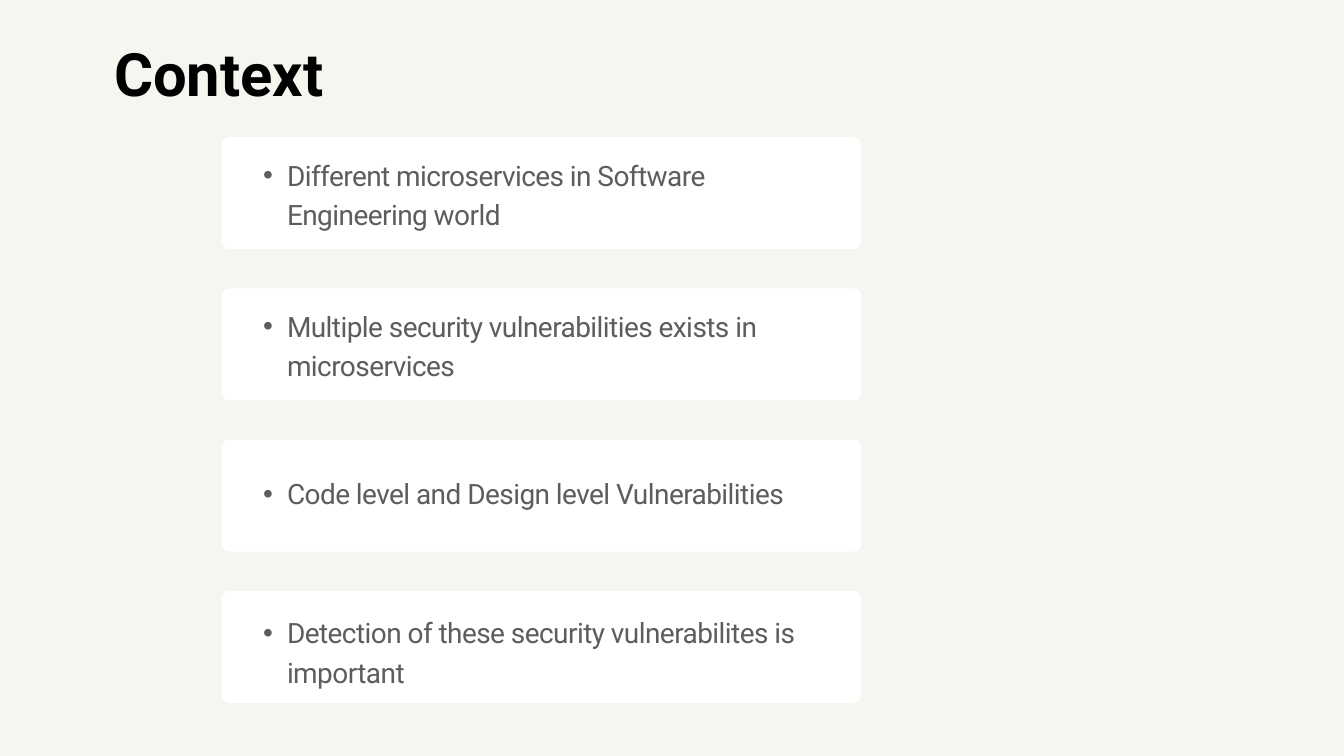
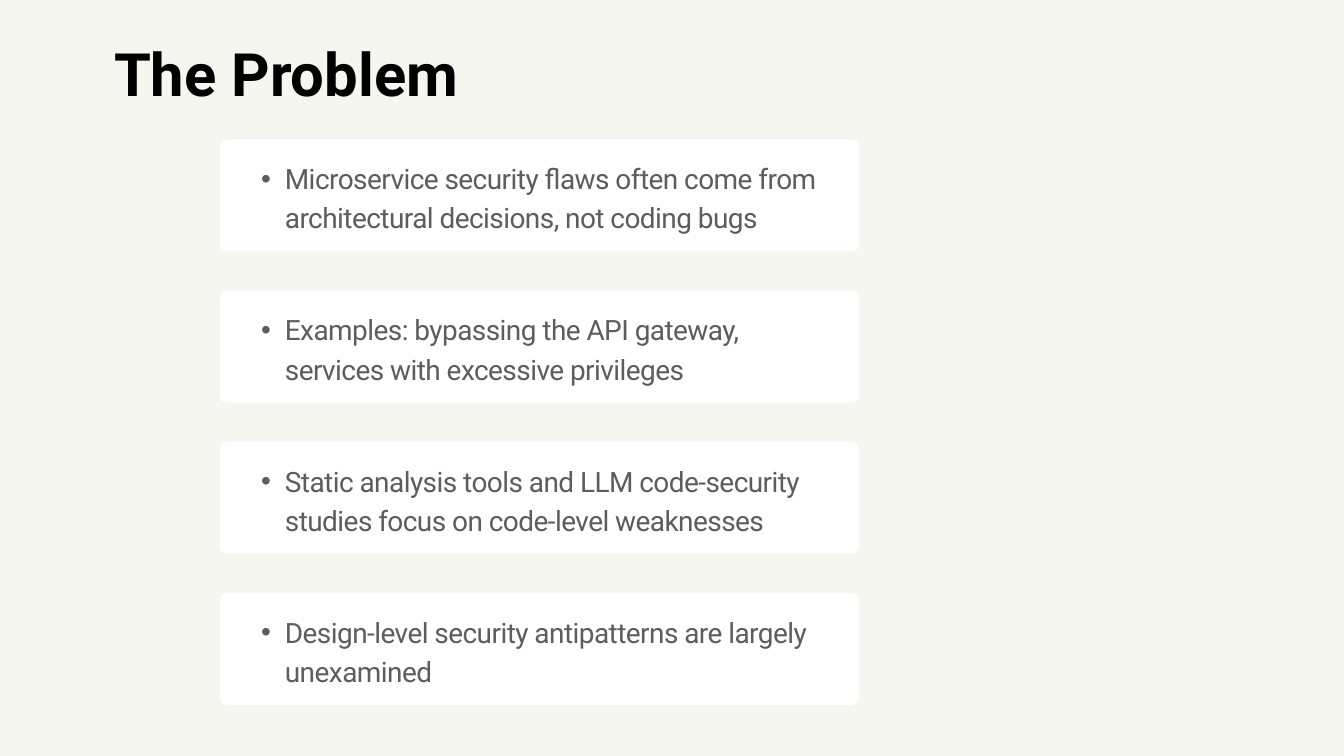
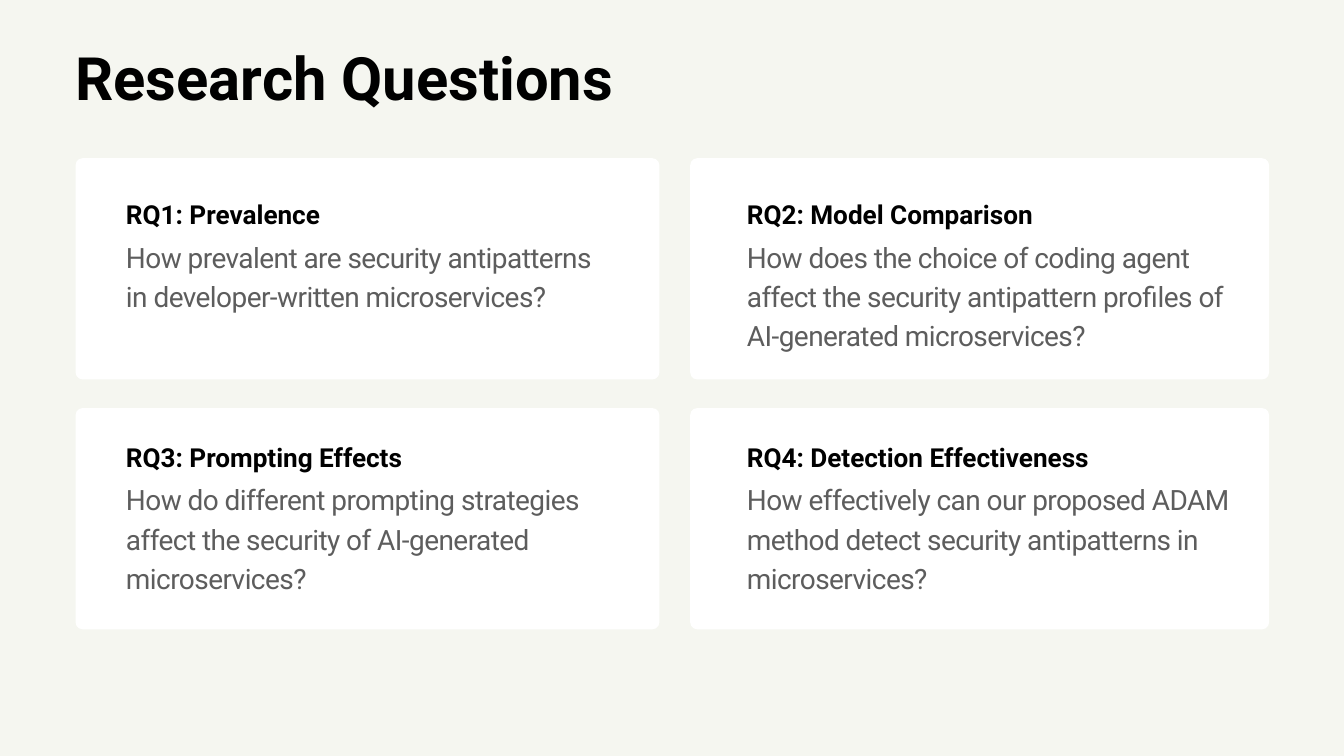
from lxml.etree import SubElement
from pptx import Presentation
from pptx.dml.color import RGBColor
from pptx.enum.shapes import MSO_SHAPE
from pptx.enum.text import MSO_AUTO_SIZE, PP_ALIGN
from pptx.oxml.ns import qn
from pptx.util import Emu, Pt

# Content: each point is (text, lines, text offset from the top of its card)
POINT_SLIDES = [
    ("Context", (317, 196), [
        ("Different microservices in Software Engineering world", 2, 22),
        ("Multiple security vulnerabilities exists in microservices", 2, 22),
        ("Code level and Design level Vulnerabilities", 1, 45),
        ("Detection of these security vulnerabilites is important", 2, 28),
    ]),
    ("The Problem", (314, 199), [
        ("Microservice security flaws often come from architectural decisions, "
         "not coding bugs", 2, 24),
        ("Examples: bypassing the API gateway, services with excessive privileges", 2, 24),
        ("Static analysis tools and LLM code-security studies focus on "
         "code-level weaknesses", 2, 24),
        ("Design-level security antipatterns are largely unexamined", 2, 24),
    ]),
]
QUESTIONS_TITLE = "Research Questions"
# Each question is (heading, text, lines)
QUESTIONS = [
    ("RQ1: Prevalence",
     "How prevalent are security antipatterns in developer-written microservices?", 2),
    ("RQ2: Model Comparison",
     "How does the choice of coding agent affect the security antipattern profiles "
     "of AI-generated microservices?", 3),
    ("RQ3: Prompting Effects",
     "How do different prompting strategies affect the security of AI-generated "
     "microservices?", 3),
    ("RQ4: Detection Effectiveness",
     "How effectively can our proposed ADAM method detect security antipatterns in "
     "microservices?", 3),
]

# Shared style, lengths in px at 96 to the inch
COLORS = {"background": "F5F6F0", "card": "FFFFFF", "heading": "000000", "body": "5D5D5D"}
FONT = "Roboto"
TITLE = dict(size=64, leading=64, color="heading", bold=True)
HEADING = dict(size=28, leading=30.8, color="heading", bold=True)
BODY = dict(size=30, leading=42, color="body", tracking=-60)
LINE_HEIGHT = 56
CARD_RADIUS = 10

# Stack of point cards
POINT_W, POINT_H, POINT_GAP = 913, 160, 56
POINT_INSET, POINT_TEXT_W = 25, 862
BULLET_INDENT, BULLET_HANG = 68, 34

# Grid of question cards: columns are (card x, card width, text x, text width)
QUESTION_COLUMNS = [(108, 834, 180, 676), (986, 827, 1067, 696)]
# Rows are (card y, heading offset)
QUESTION_ROWS = [(226, 61), (583, 51)]
QUESTION_H, HEADING_W, HEADING_H, BODY_DROP = 316, 577, 43, 48


def px(length):
    return Emu(length * 9525)


def new_slide(deck):
    slide = deck.slides.add_slide(deck.slide_layouts[6])
    slide.background.fill.solid()
    slide.background.fill.fore_color.rgb = RGBColor.from_string(COLORS["background"])
    return slide


def add_card(slide, x, y, w, h):
    card = slide.shapes.add_shape(MSO_SHAPE.ROUNDED_RECTANGLE, px(x), px(y), px(w), px(h))
    card.adjustments[0] = CARD_RADIUS / min(w, h)
    card.shadow.inherit = False
    card.fill.solid()
    card.fill.fore_color.rgb = RGBColor.from_string(COLORS["card"])
    card.line.fill.background()


def add_text(slide, text, x, y, w, h, *, size, leading, color, bold=False,
             tracking=None, bullet=False, align=None):
    frame = slide.shapes.add_textbox(px(x), px(y), px(w), px(h)).text_frame
    frame.margin_left = frame.margin_top = frame.margin_right = frame.margin_bottom = 0
    frame.word_wrap = True
    frame.auto_size = MSO_AUTO_SIZE.SHAPE_TO_FIT_TEXT
    paragraph = frame.paragraphs[0]
    if bullet:
        paragraph.level = 1
        properties = paragraph._p.get_or_add_pPr()
        properties.set("marL", str(px(BULLET_INDENT)))
        properties.set("indent", str(-px(BULLET_HANG)))
        SubElement(properties, qn("a:buFont")).set("typeface", "Arial")
        SubElement(properties, qn("a:buChar")).set("char", "•")
    paragraph.line_spacing = Pt(leading)
    paragraph.alignment = align
    run = paragraph.add_run()
    run.text = text
    run.font.name = FONT
    run.font.size = Pt(size)
    run.font.bold = bold
    run.font.color.rgb = RGBColor.from_string(COLORS[color])
    if tracking:
        run._r.get_or_add_rPr().set("spc", str(tracking))


def build_points(deck, title, origin, points):
    slide = new_slide(deck)
    add_text(slide, title, 163, 69, 1064, 90, **TITLE)
    x, top = origin
    for row, (point, lines, offset) in enumerate(points):
        y = top + row * (POINT_H + POINT_GAP)
        add_card(slide, x, y, POINT_W, POINT_H)
        add_text(slide, point, x + POINT_INSET, y + offset, POINT_TEXT_W,
                 lines * LINE_HEIGHT, bullet=True, **BODY)


def build_questions(deck):
    slide = new_slide(deck)
    add_text(slide, QUESTIONS_TITLE, 108, 75, 1444, 90, align=PP_ALIGN.JUSTIFY, **TITLE)
    for index, (heading, question, lines) in enumerate(QUESTIONS):
        row, column = divmod(index, len(QUESTION_COLUMNS))
        x, w, text_x, text_w = QUESTION_COLUMNS[column]
        y, offset = QUESTION_ROWS[row]
        add_card(slide, x, y, w, QUESTION_H)
        add_text(slide, heading, text_x, y + offset, HEADING_W, HEADING_H, **HEADING)
        add_text(slide, question, text_x, y + offset + BODY_DROP, text_w,
                 lines * LINE_HEIGHT, **BODY)


def main():
    deck = Presentation()
    deck.slide_width, deck.slide_height = px(1920), px(1080)
    for title, origin, points in POINT_SLIDES:
        build_points(deck, title, origin, points)
    build_questions(deck)
    deck.save("out.pptx")


if __name__ == "__main__":
    main()
